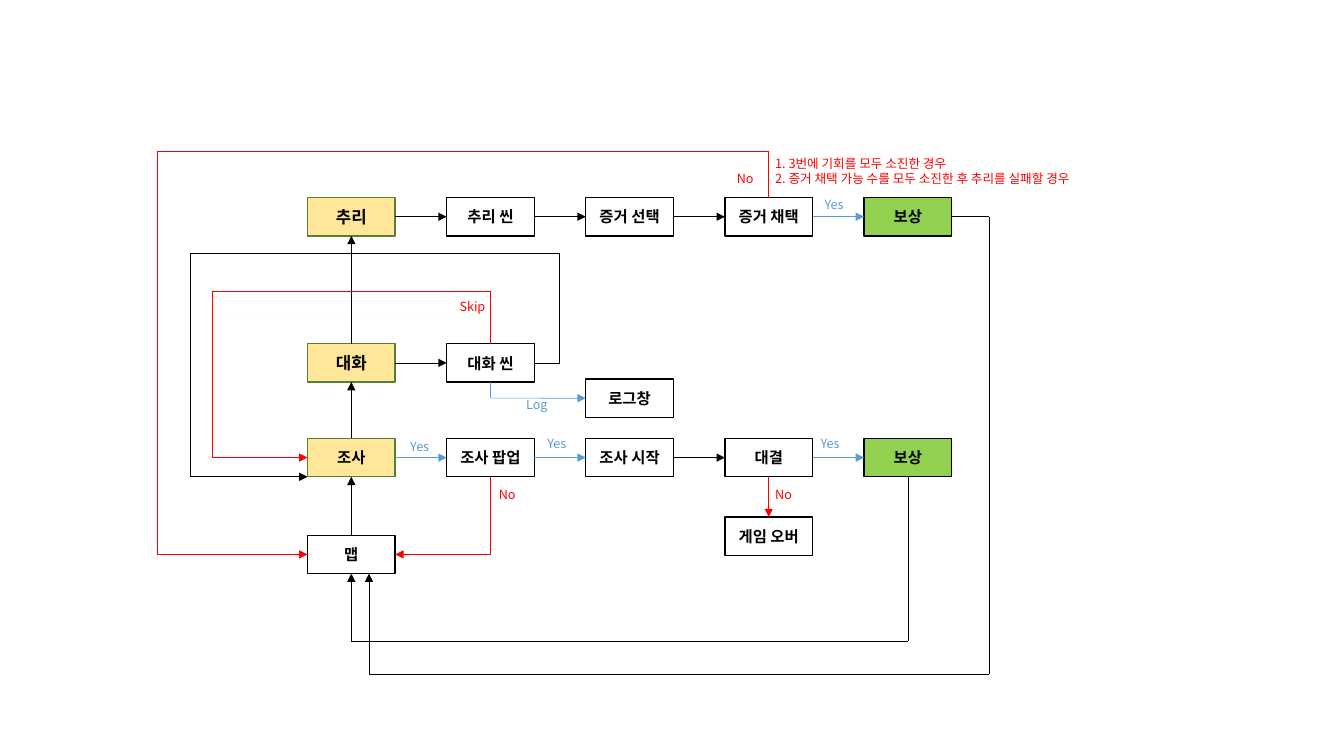
from collections import namedtuple
from itertools import pairwise
from lxml.etree import SubElement
from pptx import Presentation
from pptx.dml.color import RGBColor
from pptx.enum.shapes import MSO_CONNECTOR, MSO_SHAPE
from pptx.enum.text import MSO_ANCHOR, MSO_AUTO_SIZE, PP_ALIGN
from pptx.oxml.ns import qn
from pptx.util import Inches, Pt

COLORS = {"black": "000000", "red": "FF0000", "blue": "5B9BD5", "white": "FFFFFF",
          "yellow": "FFE699", "olive": "538035", "green": "92D050"}
FONT = "Noto Sans CJK KR"
NODE_W, NODE_H, COLUMN_PITCH = 0.87, 0.38, 1.38
TOP, LEFT, BOTTOM, RIGHT = range(4)
SIDE_MIDDLES = {TOP: (0.5, 0), LEFT: (0, 0.5), BOTTOM: (0.5, 1), RIGHT: (1, 0.5)}

Step = namedtuple("Step", "text column row fill size", defaults=["white", 11])
Joint = namedtuple("Joint", "node side")
Point = namedtuple("Point", "x y")

STEPS = {
    "deduction": Step("추리", 0, 0, "yellow", 12),
    "deduction scene": Step("추리 씬", 1, 0),
    "evidence choice": Step("증거 선택", 2, 0),
    "evidence adoption": Step("증거 채택", 3, 0),
    "deduction reward": Step("보상", 4, 0, "green"),
    "dialogue": Step("대화", 0, 1.45, "yellow", 12),
    "dialogue scene": Step("대화 씬", 1, 1.45),
    "log window": Step("로그창", 2, 1.8),
    "search": Step("조사", 0, 2.39, "yellow"),
    "search popup": Step("조사 팝업", 1, 2.39),
    "search start": Step("조사 시작", 2, 2.39),
    "duel": Step("대결", 3, 2.39),
    "search reward": Step("보상", 4, 2.39, "green"),
    "game over": Step("게임 오버", 3, 3.17),
    "map": Step("맵", 0, 3.35),
}
DIRECT_ARROWS = [
    ("deduction", RIGHT, "deduction scene", LEFT, "black"),
    ("deduction scene", RIGHT, "evidence choice", LEFT, "black"),
    ("evidence choice", RIGHT, "evidence adoption", LEFT, "black"),
    ("evidence adoption", RIGHT, "deduction reward", LEFT, "blue"),
    ("dialogue", RIGHT, "dialogue scene", LEFT, "black"),
    ("search", RIGHT, "search popup", LEFT, "blue"),
    ("search popup", RIGHT, "search start", LEFT, "blue"),
    ("search start", RIGHT, "duel", LEFT, "black"),
    ("duel", RIGHT, "search reward", LEFT, "blue"),
    ("duel", BOTTOM, "game over", TOP, "red"),
    ("map", TOP, "search", BOTTOM, "black"),
    ("search", TOP, "dialogue", BOTTOM, "black"),
    ("dialogue", TOP, "deduction", BOTTOM, "black"),
]
ANSWERS = [
    ("Yes", 8.08, 1.9, 0.44, "blue"), ("Yes", 3.97, 4.3, 0.44, "blue"),
    ("Yes", 5.33, 4.28, 0.44, "blue"), ("Yes", 8.04, 4.28, 0.44, "blue"),
    ("Log", 5.12, 3.89, 0.47, "blue"), ("Skip", 4.46, 2.92, 0.47, "red"),
    ("No", 7.21, 1.65, 0.43, "red"), ("No", 4.85, 4.78, 0.43, "red"),
    ("No", 7.59, 4.78, 0.43, "red"),
]
FAILURE_NOTES = ["1. 3번에 기회를 모두 소진한 경우",
                 "2. 증거 채택 가능 수를 모두 소진한 후 추리를 실패할 경우"]


def rgb(name):
    """Return the named palette colour."""
    return RGBColor.from_string(COLORS[name])


def add_text(paragraph, text, size, color, bold=False):
    """Add one run in the slide's font for Latin and Korean."""
    run = paragraph.add_run()
    run.text = text
    run.font.size, run.font.bold = Pt(size), bold
    run.font.color.rgb = rgb(color)
    run.font.name = FONT
    SubElement(run.font._element, qn("a:ea")).set("typeface", FONT)


def add_node(slide, left, top, step):
    """Draw one step of the flow with its top left corner at the given place."""
    node = slide.shapes.add_shape(MSO_SHAPE.RECTANGLE, Inches(left), Inches(top),
                                  Inches(NODE_W), Inches(NODE_H))
    node.shadow.inherit = False
    node.fill.solid()
    node.fill.fore_color.rgb = rgb(step.fill)
    node.line.color.rgb = rgb("olive" if step.fill == "yellow" else "black")
    node.line.width = Pt(1)
    frame = node.text_frame
    frame.word_wrap = True
    frame.vertical_anchor = MSO_ANCHOR.MIDDLE
    frame.paragraphs[0].alignment = PP_ALIGN.CENTER
    add_text(frame.paragraphs[0], step.text, step.size, "black", bold=True)
    return node


def add_label(slide, left, top, width, height, lines, color, wrap=True):
    """Write small coloured lines of text in the given box."""
    label = slide.shapes.add_textbox(Inches(left), Inches(top), Inches(width), Inches(height))
    frame = label.text_frame
    frame.word_wrap = wrap
    frame.auto_size = MSO_AUTO_SIZE.SHAPE_TO_FIT_TEXT
    for i, text in enumerate(lines):
        paragraph = frame.add_paragraph() if i else frame.paragraphs[0]
        add_text(paragraph, text, 9, color)


def locate(stop):
    """Return the point of a stop, which is a point or a joint on a node's side."""
    if isinstance(stop, Point):
        return stop
    across, down = SIDE_MIDDLES[stop.side]
    return Point(stop.node.left.inches + across * NODE_W,
                 stop.node.top.inches + down * NODE_H)


def add_segment(slide, start, end, color):
    """Draw a straight line between two stops and attach it to their nodes."""
    segment = slide.shapes.add_connector(
        MSO_CONNECTOR.STRAIGHT, *map(Inches, locate(start) + locate(end)))
    segment.line.color.rgb = rgb(color)
    segment.line.width = Pt(0.5)
    SubElement(segment._element.spPr, qn("a:effectLst"))
    if isinstance(start, Joint):
        segment.begin_connect(*start)
    if isinstance(end, Joint):
        segment.end_connect(*end)
    return segment


def add_route(slide, stops, color="black"):
    """Chain segments through the stops and put an arrowhead on the last one."""
    for start, end in pairwise(stops):
        segment = add_segment(slide, start, end, color)
    outline = segment._element.spPr.find(qn("a:ln"))
    SubElement(outline, qn("a:tailEnd")).set("type", "triangle")


def add_corner_route(slide, start, end, color):
    """Leave a node vertically, turn once and enter another node sideways."""
    add_route(slide, [start, Point(locate(start).x, locate(end).y), end], color)


def add_left_loop(slide, start, end, lane_x, lane_y, color):
    """Run from a node up to a lane, left along it, down and into another node."""
    add_route(slide, [start, Point(locate(start).x, lane_y), Point(lane_x, lane_y),
                      Point(lane_x, locate(end).y), end], color)


def add_bottom_loop(slide, start, end, lane_y):
    """Run from a point down to a lane, left along it and up to the end."""
    add_route(slide, [start, Point(locate(start).x, lane_y),
                      Point(locate(end).x, lane_y), end])


def add_red_and_blue_turns(slide, left, top, nodes):
    """Draw the log, refusal, skip and failure routes."""
    map_right = Joint(nodes["map"], RIGHT)
    add_corner_route(slide, Joint(nodes["dialogue scene"], BOTTOM),
                     Joint(nodes["log window"], LEFT), "blue")
    add_corner_route(slide, Joint(nodes["search popup"], BOTTOM), map_right, "red")
    add_left_loop(slide, Joint(nodes["dialogue scene"], TOP), Joint(nodes["search"], LEFT),
                  left - 0.94, top + 0.93, "red")
    add_left_loop(slide, Joint(nodes["evidence adoption"], TOP), Joint(nodes["map"], LEFT),
                  left - 1.49, top - 0.46, "red")


def add_black_returns(slide, left, top, nodes):
    """Draw the routes back from the dialogue scene and from both rewards."""
    scene_exit = Joint(nodes["dialogue scene"], RIGHT)
    scene_turn = Point(left + 2.5, locate(scene_exit).y)
    search_corner = Point(left, locate(Joint(nodes["search"], BOTTOM)).y)
    add_segment(slide, scene_exit, scene_turn, "black")
    add_left_loop(slide, scene_turn, search_corner, left - 1.16, top + 0.55, "black")

    map_base = Joint(nodes["map"], BOTTOM)
    add_bottom_loop(slide, Joint(nodes["search reward"], BOTTOM), map_base, top + 4.4)

    reward_exit = Joint(nodes["deduction reward"], RIGHT)
    reward_turn = Point(left + 6.76, locate(reward_exit).y)
    map_entry = Point(left + 0.61, locate(map_base).y)
    add_segment(slide, reward_exit, reward_turn, "black")
    add_bottom_loop(slide, reward_turn, map_entry, top + 4.73)


def add_game_flow(slide, left, top):
    """Place every step on the column grid and connect the steps."""
    nodes = {name: add_node(slide, left + step.column * COLUMN_PITCH, top + step.row, step)
             for name, step in STEPS.items()}
    for source, exit_side, target, entry_side, color in DIRECT_ARROWS:
        add_route(slide, [Joint(nodes[source], exit_side),
                          Joint(nodes[target], entry_side)], color)
    add_red_and_blue_turns(slide, left, top, nodes)
    add_black_returns(slide, left, top, nodes)


def main():
    """Build and save the game flow slide."""
    deck = Presentation()
    deck.slide_width, deck.slide_height = Inches(13.33), Inches(7.5)
    slide = deck.slides.add_slide(deck.slide_layouts[6])
    add_game_flow(slide, 3.05, 1.96)
    for answer, left, top, width, color in ANSWERS:
        add_label(slide, left, top, width, 0.25, [answer], color)
    add_label(slide, 7.59, 1.5, 3.52, 0.4, FAILURE_NOTES, "red", wrap=False)
    deck.save("out.pptx")


if __name__ == "__main__":
    main()
